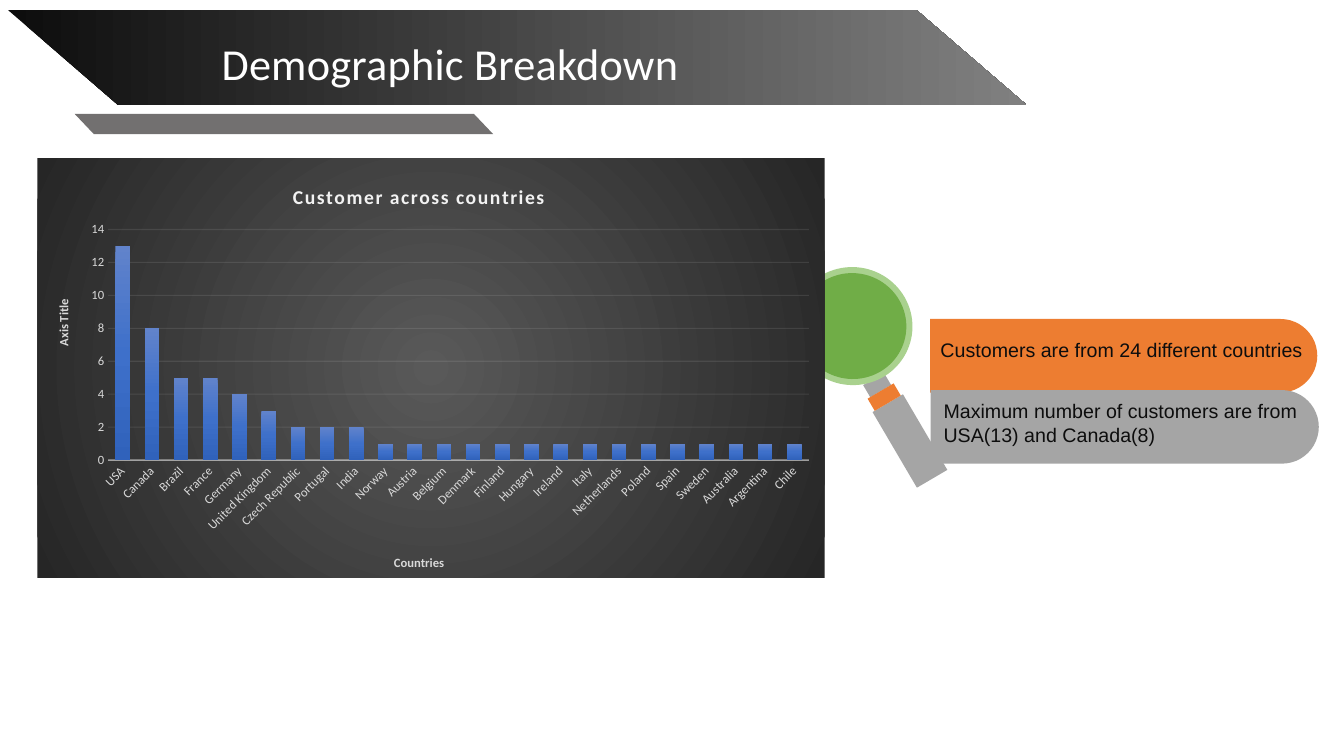
"""Build the Demographic Breakdown slide with a customer chart and two findings."""
from dataclasses import dataclass
from typing import Any, Optional

import lxml.etree
import pptx
import pptx.chart.data
import pptx.dml.color
import pptx.enum.chart
import pptx.enum.shapes
import pptx.enum.text
import pptx.oxml
import pptx.oxml.ns
import pptx.util

Inches = pptx.util.Inches
Pt = pptx.util.Pt
qn = pptx.oxml.ns.qn
MSO_SHAPE = pptx.enum.shapes.MSO_SHAPE
Box = tuple[float, float, float, float]

ORANGE, GREY, AXIS_TEXT, GRID = "ED7D31", "A5A5A5", "D9D9D9", "F2F2F2"
CUSTOMERS = {
    "USA": 13, "Canada": 8, "Brazil": 5, "France": 5, "Germany": 4,
    "United Kingdom": 3, "Czech Republic": 2, "Portugal": 2, "India": 2,
} | dict.fromkeys(
    ["Norway", "Austria", "Belgium", "Denmark", "Finland", "Hungary", "Ireland",
     "Italy", "Netherlands", "Poland", "Spain", "Sweden", "Australia",
     "Argentina", "Chile"], 1)


@dataclass
class Piece:
    box: Box
    kind: Any
    color: str
    rotation: float


@dataclass
class Banner:
    left: float
    top: float
    width: float
    height: float
    slant: float


@dataclass
class Label:
    text: str
    box: Box
    size: float
    font: str
    color: str


BANNER = Banner(0.08, 0.1, 10.1, 0.94, 1.09)
UNDERLINE = Banner(0.74, 1.13, 4.15, 0.2, 0.19)
TITLE = Label("Demographic Breakdown", (1.07, 0.28, 6.79, 0.58), 31.6, "Calibri", "FFFFFF")
PIECES = [
    Piece((10.78, 1.61, 0.73, 3.84), MSO_SHAPE.ROUND_2_SAME_RECTANGLE, ORANGE, 90),
    Piece((10.79, 2.31, 0.73, 3.85), MSO_SHAPE.ROUND_2_SAME_RECTANGLE, GREY, 90),
    Piece((8.85, 3.94, 0.35, 0.87), MSO_SHAPE.RECTANGLE, GREY, 329.6),
    Piece((8.58, 3.75, 0.24, 0.14), MSO_SHAPE.RECTANGLE, GREY, 329.6),
    Piece((8.62, 3.87, 0.3, 0.14), MSO_SHAPE.RECTANGLE, ORANGE, 329.6),
    Piece((7.86, 2.65, 1.19, 1.17), MSO_SHAPE.OVAL, "A9D18E", 12.2),
    Piece((7.92, 2.71, 1.07, 1.05), MSO_SHAPE.OVAL, "70AD47", 12.2),
]
FINDINGS = [
    Label("Customers are from 24 different countries",
          (9.23, 3.3, 4, 0.34), 14, "Arial", "0D0D0D"),
    Label("Maximum number of customers are from\vUSA(13) and Canada(8)",
          (9.26, 3.91, 5.16, 0.57), 14, "Arial", "0D0D0D"),
]


def rgb(color: str) -> pptx.dml.color.RGBColor:
    return pptx.dml.color.RGBColor.from_string(color)


def gradient(colors: list[str], angle: Optional[int] = None) -> Any:
    step = 100000 // (len(colors) - 1)
    stops = "".join(f'<a:gs pos="{index * step}"><a:srgbClr val="{color}"/></a:gs>'
                    for index, color in enumerate(colors))
    direction = ('<a:path path="circle"><a:fillToRect l="50000" t="50000" r="50000" b="50000"/></a:path>'
                 if angle is None else f'<a:lin ang="{angle * 60000}" scaled="0"/>')
    return pptx.oxml.parse_xml(
        f'<a:gradFill {pptx.oxml.ns.nsdecls("a")} rotWithShape="1">'
        f'<a:gsLst>{stops}</a:gsLst>{direction}</a:gradFill>')


def fill_gradient(fill: Any, properties_owner: Any, colors: list[str], angle: int) -> None:
    fill.background()
    properties = properties_owner.spPr
    properties.replace(properties.find(qn("a:noFill")), gradient(colors, angle))


def style_font(font: Any, size: float, color: str, name: str = "Calibri", bold: bool = False) -> None:
    font.size, font.name, font.bold = Pt(size), name, bold
    font.color.rgb = rgb(color)


def style_line(line: Any, color: str, width: float, opacity: int) -> None:
    line.width = Pt(width)
    line.color.rgb = rgb(color)
    color_element = line._get_or_add_ln().find(".//" + qn("a:srgbClr"))
    lxml.etree.SubElement(color_element, qn("a:alpha"), val=str(opacity * 1000))


def add_banner(slide: Any, banner: Banner) -> Any:
    right, bottom = banner.left + banner.width, banner.top + banner.height
    builder = slide.shapes.build_freeform(
        Inches(right - banner.slant), Inches(banner.top), scale=1.0)
    corners = [(banner.left, banner.top), (banner.left + banner.slant, bottom), (right, bottom)]
    builder.add_line_segments([(Inches(x), Inches(y)) for x, y in corners], close=True)
    shape = builder.convert_to_shape()
    shape.shadow.inherit = False
    shape.line.fill.background()
    return shape


def add_piece(slide: Any, piece: Piece) -> None:
    shape = slide.shapes.add_shape(piece.kind, *map(Inches, piece.box))
    shape.shadow.inherit = False
    shape.rotation = piece.rotation
    if piece.kind == MSO_SHAPE.ROUND_2_SAME_RECTANGLE:
        shape.adjustments[0] = 0.5
    shape.fill.solid()
    shape.fill.fore_color.rgb = rgb(piece.color)
    shape.line.fill.background()


def add_label(slide: Any, label: Label) -> Any:
    frame = slide.shapes.add_textbox(*map(Inches, label.box)).text_frame
    frame.word_wrap = True
    frame.auto_size = pptx.enum.text.MSO_AUTO_SIZE.SHAPE_TO_FIT_TEXT
    frame.text = label.text
    for run in frame.paragraphs[0].runs:
        style_font(run.font, label.size, label.color, label.font)
    return frame


def add_title(slide: Any) -> None:
    frame = add_label(slide, TITLE)
    frame.margin_left = frame.margin_top = frame.margin_right = frame.margin_bottom = 0
    paragraph = frame.paragraphs[0]
    paragraph.alignment = pptx.enum.text.PP_ALIGN.CENTER
    paragraph.line_spacing = Pt(43.7)
    paragraph.runs[0].font._element.set("spc", "20")


def place(element: Any, x: float, y: float, size: Optional[tuple[float, float]] = None) -> None:
    values = {"xMode": "edge", "yMode": "edge", "x": x, "y": y}
    if size:
        values = {"layoutTarget": "inner"} | values | {"w": size[0], "h": size[1]}
    layout = element.get_or_add_layout() if hasattr(element, "get_or_add_layout") else element.find(qn("c:layout"))
    if layout is None:
        layout = pptx.oxml.parse_xml(f'<c:layout {pptx.oxml.ns.nsdecls("c")}/>')
        element.insert(0, layout)
    manual = lxml.etree.SubElement(layout, qn("c:manualLayout"))
    for name, value in values.items():
        lxml.etree.SubElement(manual, qn(f"c:{name}"), val=str(value))


def set_title(owner: Any, text: str, size: float, color: str, x: float, y: float) -> Any:
    title = owner.chart_title if hasattr(owner, "chart_title") else owner.axis_title
    title.text_frame.text = text
    font = title.text_frame.paragraphs[0].runs[0].font
    style_font(font, size, color, bold=True)
    place(title._element, x, y)
    return font


def add_customer_chart(slide: Any) -> None:
    data = pptx.chart.data.CategoryChartData()
    data.categories = list(CUSTOMERS)
    data.add_series("Series 1", list(CUSTOMERS.values()))
    chart = slide.shapes.add_chart(
        pptx.enum.chart.XL_CHART_TYPE.COLUMN_CLUSTERED,
        *map(Inches, (0.37, 1.57, 7.81, 4.16)), data).chart
    style_font(chart.font, 10, "000000")
    chart.has_legend = False
    title_font = set_title(chart, "Customer across countries", 14, GRID, 0.32, 0.05)
    title_font._element.set("spc", "100")

    plot = chart.plots[0]
    plot.gap_width, plot.overlap, plot.vary_by_categories = 100, -24, False
    series = plot.series[0]
    fill_gradient(series.format.fill, series._element, ["6183CB", "3E70CA", "3062BB"], 90)
    place(chart._chartSpace.chart.plotArea, 0.09, 0.17, (0.89, 0.55))

    for axis in (chart.category_axis, chart.value_axis):
        axis.major_tick_mark = axis.minor_tick_mark = pptx.enum.chart.XL_TICK_MARK.NONE
        style_font(axis.tick_labels.font, 9, AXIS_TEXT)
    set_title(chart.category_axis, "Countries", 9, AXIS_TEXT, 0.45, 0.94)
    set_title(chart.value_axis, "Axis Title", 9, AXIS_TEXT, 0.02, 0.33)
    style_line(chart.category_axis.format.line, GRID, 1, 54)
    chart.category_axis._element.find(qn("c:txPr")).find(qn("a:bodyPr")).set("rot", "-2700000")
    value_axis = chart.value_axis
    value_axis.minimum_scale, value_axis.maximum_scale, value_axis.major_unit = 0, 14, 2
    value_axis.format.line.fill.background()
    style_line(value_axis.major_gridlines.format.line, GRID, 0.75, 10)

    area = pptx.oxml.parse_xml(
        f'<c:spPr {pptx.oxml.ns.nsdecls("c", "a")}><a:ln><a:noFill/></a:ln></c:spPr>')
    area.insert(0, gradient(["595959", "262626"]))
    chart._chartSpace.chart.addnext(area)


def main() -> None:
    presentation = pptx.Presentation()
    presentation.slide_width, presentation.slide_height = Inches(13.33), Inches(7.5)
    slide = presentation.slides.add_slide(presentation.slide_layouts[6])
    banner = add_banner(slide, BANNER)
    fill_gradient(banner.fill, banner._element, ["0D0D0D", "808080"], 0)
    add_title(slide)
    for piece in PIECES:
        add_piece(slide, piece)
    for finding in FINDINGS:
        add_label(slide, finding)
    add_customer_chart(slide)
    underline = add_banner(slide, UNDERLINE)
    underline.fill.solid()
    underline.fill.fore_color.rgb = rgb("727070")
    presentation.save("out.pptx")


if __name__ == "__main__":
    main()
